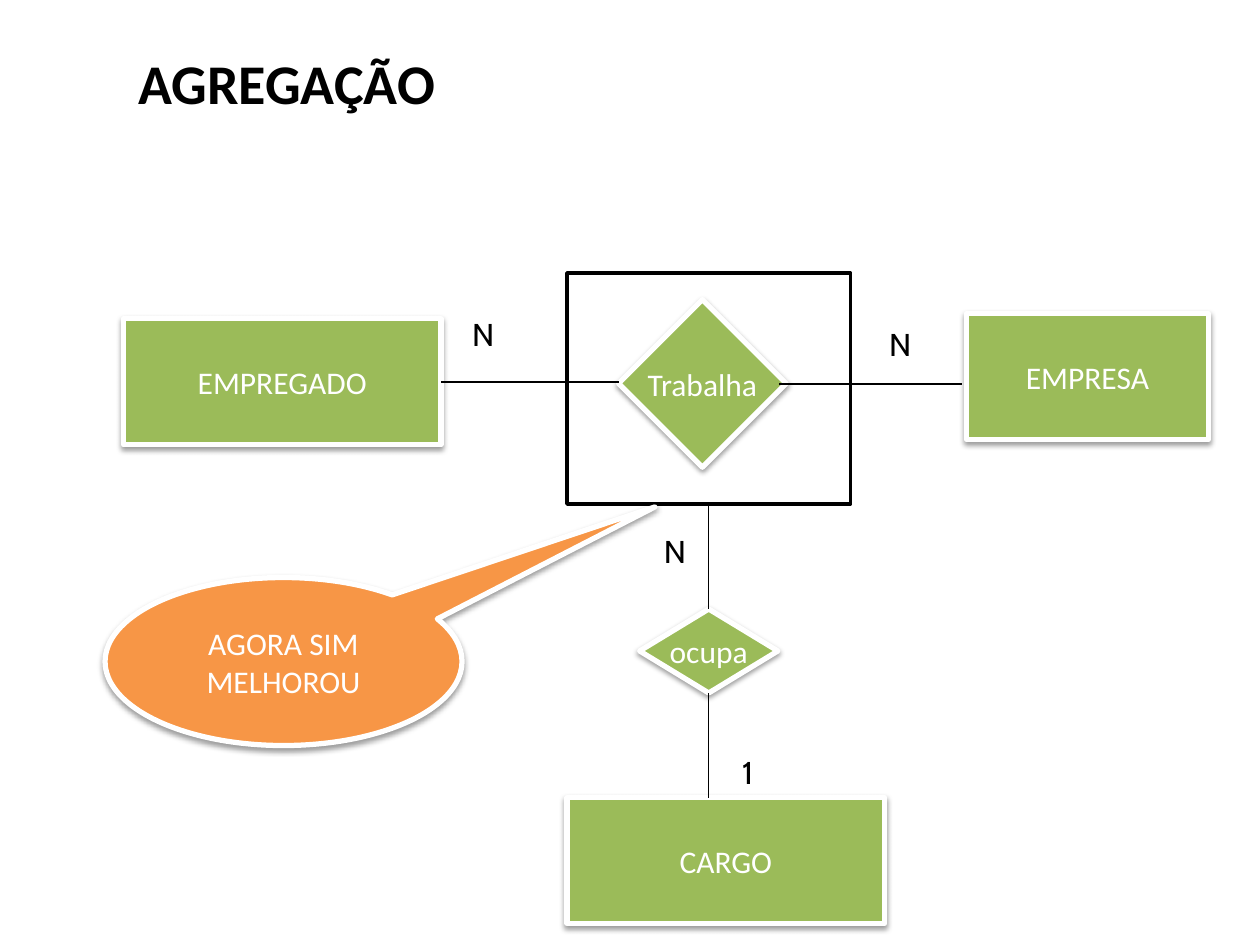
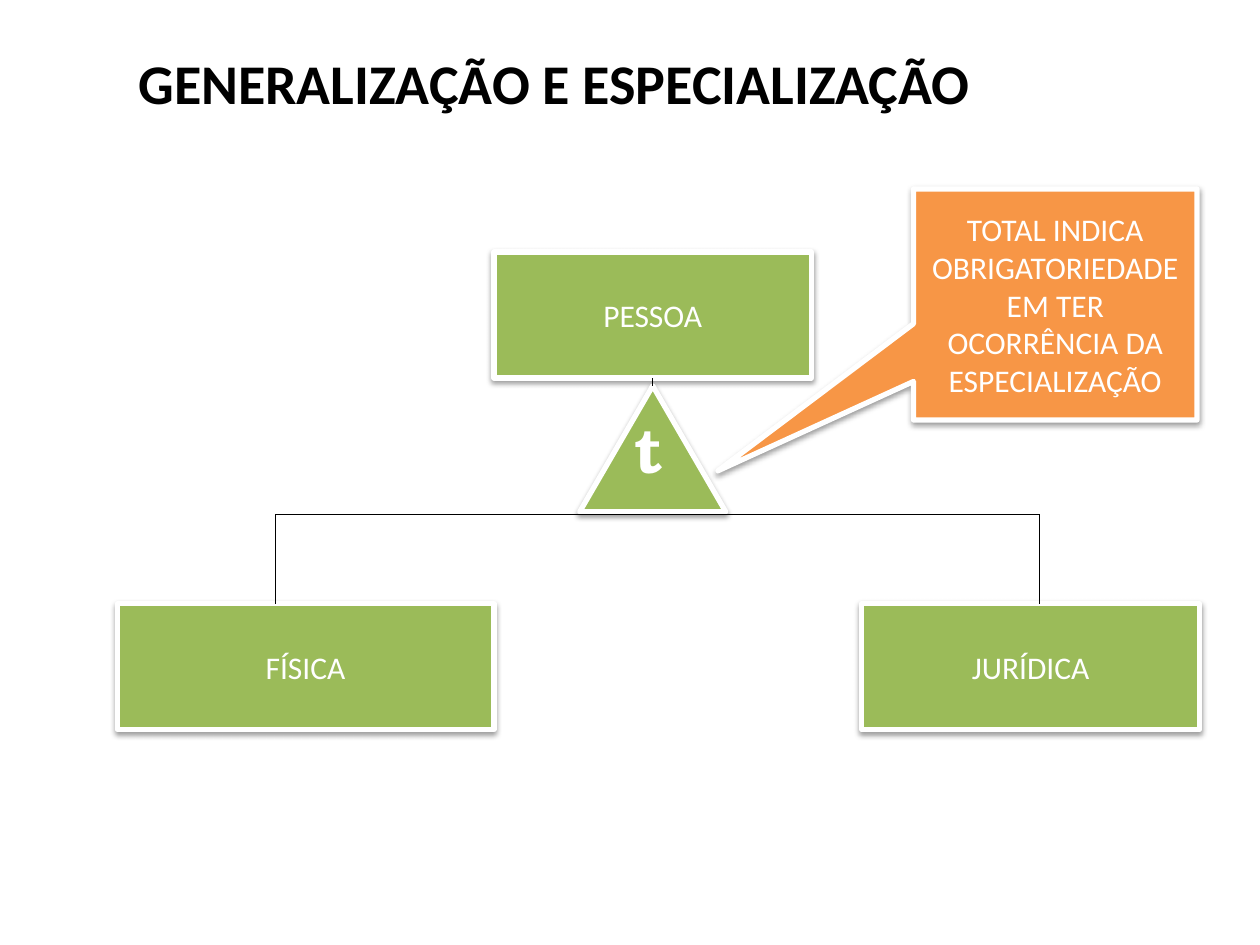
"""Build two entity-relationship slides: aggregation and specialization."""
import lxml.etree
import pptx
import pptx.dml.color
import pptx.enum.shapes
import pptx.enum.text
import pptx.oxml.ns
import pptx.util

Pt = pptx.util.Pt
SHAPE = pptx.enum.shapes.MSO_SHAPE
ALIGN = pptx.enum.text.PP_ALIGN
ANCHOR = pptx.enum.text.MSO_ANCHOR
FIT = pptx.enum.text.MSO_AUTO_SIZE
TOP, LEFT, BOTTOM, RIGHT = range(4)

COLORS = {"ink": "000000", "paper": "FFFFFF", "entity": "9BBB59", "callout": "F79646"}
FONTS = {
    "title": {"name": "Calibri", "size": Pt(32), "bold": True},
    "shape": {"name": "Calibri", "size": Pt(18)},
    "cardinality": {"name": "Cabin", "size": Pt(18)},
    "total": {"name": "TeX Gyre Bonum", "size": Pt(36), "bold": True},
}
ENTITY_WIDTH, ENTITY_HEIGHT = 181.5, 72


def color(name):
    """Return the named palette colour."""
    return pptx.dml.color.RGBColor.from_string(COLORS[name])


def write(box, text, style, ink, wrap, **layout):
    """Put one formatted paragraph into a shape or text box."""
    frame = box.text_frame
    for key, value in {"word_wrap": wrap, **layout}.items():
        setattr(frame, key, value)
    para = frame.paragraphs[0]
    span = para.add_run()
    span.text = text
    for key, value in FONTS[style].items():
        setattr(span.font, key, value)
    span.font.color.rgb = color(ink)
    return para


def add_label(page, text, place, style, ink="ink", wrap=False, auto_size=FIT.SHAPE_TO_FIT_TEXT):
    """Add a free-standing text."""
    box = page.shapes.add_textbox(*map(Pt, place))
    write(box, text, style, ink, wrap, auto_size=auto_size, vertical_anchor=ANCHOR.TOP)


def add_cardinality(page, text, left, top):
    """Add the cardinality beside a relationship line."""
    add_label(page, text, (left, top, 26.5, 29), "cardinality")


def add_shadow(box):
    """Give a shape the soft shadow below it."""
    box.shadow.inherit = False
    effects = box._element.spPr.find(pptx.oxml.ns.qn("a:effectLst"))
    shadow = lxml.etree.SubElement(
        effects, pptx.oxml.ns.qn("a:outerShdw"),
        blurRad=str(Pt(3.1)), dist=str(Pt(1.6)), dir="5400000", rotWithShape="0")
    tint = lxml.etree.SubElement(shadow, pptx.oxml.ns.qn("a:srgbClr"), val=COLORS["ink"])
    lxml.etree.SubElement(tint, pptx.oxml.ns.qn("a:alpha"), val="38000")


def add_node(page, kind, place, text="", fill="entity", wrap=False):
    """Add a filled, white-edged shape with centred text."""
    box = page.shapes.add_shape(kind, *map(Pt, place))
    box.fill.solid()
    box.fill.fore_color.rgb = color(fill)
    box.line.color.rgb = color("paper")
    box.line.width = Pt(3)
    add_shadow(box)
    if text:
        para = write(box, text, "shape", "paper", wrap, vertical_anchor=ANCHOR.MIDDLE)
        para.alignment = ALIGN.CENTER
    return box


def add_entity(page, text, left, top, width=ENTITY_WIDTH):
    """Add an entity rectangle."""
    return add_node(page, SHAPE.RECTANGLE, (left, top, width, ENTITY_HEIGHT), text)


def add_callout(page, kind, place, text, tip):
    """Add an orange callout whose tip is given relative to its centre."""
    box = add_node(page, kind, place, text, "callout", True)
    for index, value in enumerate(tip):
        box.adjustments[index] = value


def add_frame(page, place):
    """Add the unfilled frame around an aggregation."""
    box = page.shapes.add_shape(SHAPE.RECTANGLE, *map(Pt, place))
    box.shadow.inherit = False
    box.fill.background()
    box.line.color.rgb = color("ink")
    box.line.width = Pt(2)
    return box


def add_link(page, start, end, begin=None, finish=None):
    """Add a thin line, joined to (shape, side) pairs where given."""
    link = page.shapes.add_connector(
        pptx.enum.shapes.MSO_CONNECTOR.STRAIGHT, *map(Pt, (*start, *end)))
    link.line.color.rgb = color("ink")
    link.line.width = Pt(0.75)
    lxml.etree.SubElement(link._element.spPr, pptx.oxml.ns.qn("a:effectLst"))
    if begin:
        link.begin_connect(*begin)
    if finish:
        link.end_connect(*finish)


def add_page(deck, title):
    """Add a blank slide with its title."""
    page = deck.slides.add_slide(deck.slide_layouts[6])
    add_label(page, title, (72, 24, 648, 53), "title", wrap=True, auto_size=FIT.NONE)
    return page


def build_aggregation(deck):
    """Build the aggregation slide."""
    page = add_page(deck, "AGREGAÇÃO")
    employee = add_entity(page, "EMPREGADO", 70.5, 182.25)
    add_entity(page, "EMPRESA", 552.25, 179.25, 138.25)
    add_node(page, SHAPE.DIAMOND, (353.5, 171.25, 95.75, 95.75), "Trabalha")
    add_entity(page, "CARGO", 324, 455.75)
    aggregate = add_frame(page, (324, 156, 162, 132))
    holds = add_node(page, SHAPE.DIAMOND, (365.5, 348, 79, 48), "ocupa")
    add_link(page, (252, 218.25), (353.5, 218.25), begin=(employee, RIGHT))
    add_link(page, (549.5, 219.5), (445, 219.5))
    add_link(page, (405, 288), (405, 348), (aggregate, BOTTOM), (holds, TOP))
    add_link(page, (405, 396), (405, 455.75), begin=(holds, BOTTOM))
    for text, left, top in (("N", 262.75, 176.5), ("N", 501, 182.25),
                            ("N", 372.25, 300.25), ("1", 417, 427)):
        add_cardinality(page, text, left, top)
    add_callout(page, SHAPE.OVAL_CALLOUT, (60, 330, 204, 96),
                "AGORA SIM MELHOROU", (1.04, -0.92))


def build_specialization(deck):
    """Build the generalization and specialization slide."""
    page = add_page(deck, "GENERALIZAÇÃO E ESPECIALIZAÇÃO")
    add_entity(page, "FÍSICA", 67, 345, 215.25)
    add_entity(page, "JURÍDICA", 492.5, 345, 193)
    person = add_entity(page, "PESSOA", 282.25, 144)
    triangle = add_node(page, SHAPE.ISOSCELES_TRIANGLE, (331.25, 220.5, 83.5, 72))
    add_link(page, (373, 216), (373, 220.5), (person, BOTTOM), (triangle, TOP))
    branch_top, branch_sides = 294, (157.5, 594)
    add_link(page, *((side, branch_top) for side in branch_sides))
    for side in branch_sides:
        add_link(page, (side, branch_top), (side, 345))
    add_label(page, "t", (355.75, 231, 41, 50.5), "total", "paper", True)
    add_callout(page, SHAPE.RECTANGULAR_CALLOUT, (522, 108, 162, 132),
                "TOTAL INDICA OBRIGATORIEDADE EM TER OCORRÊNCIA DA ESPECIALIZAÇÃO",
                (-1.19, 0.72))


def main():
    """Build and save the deck."""
    deck = pptx.Presentation()
    deck.slide_width, deck.slide_height = Pt(720), Pt(540)
    build_aggregation(deck)
    build_specialization(deck)
    deck.save("out.pptx")


if __name__ == "__main__":
    main()
